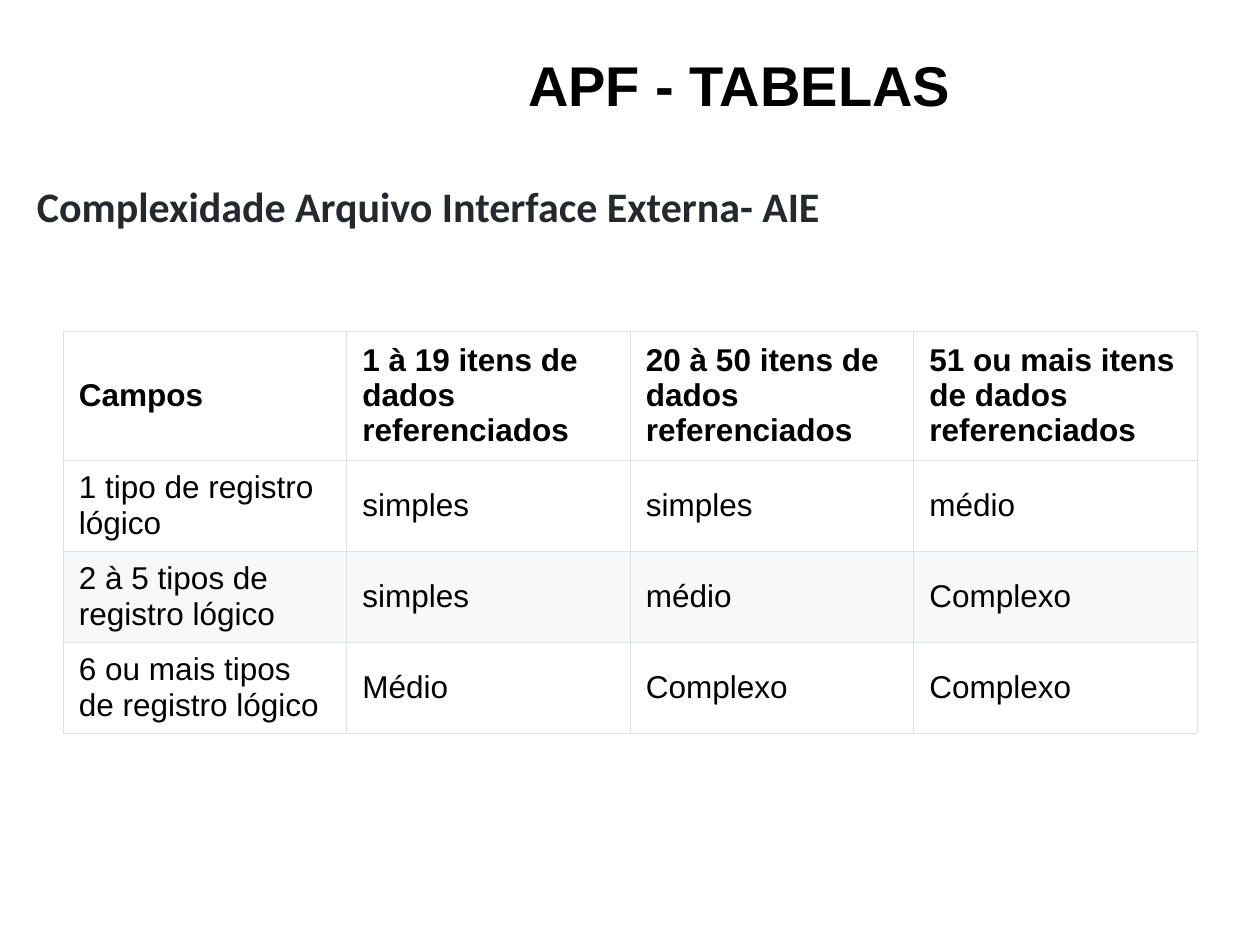
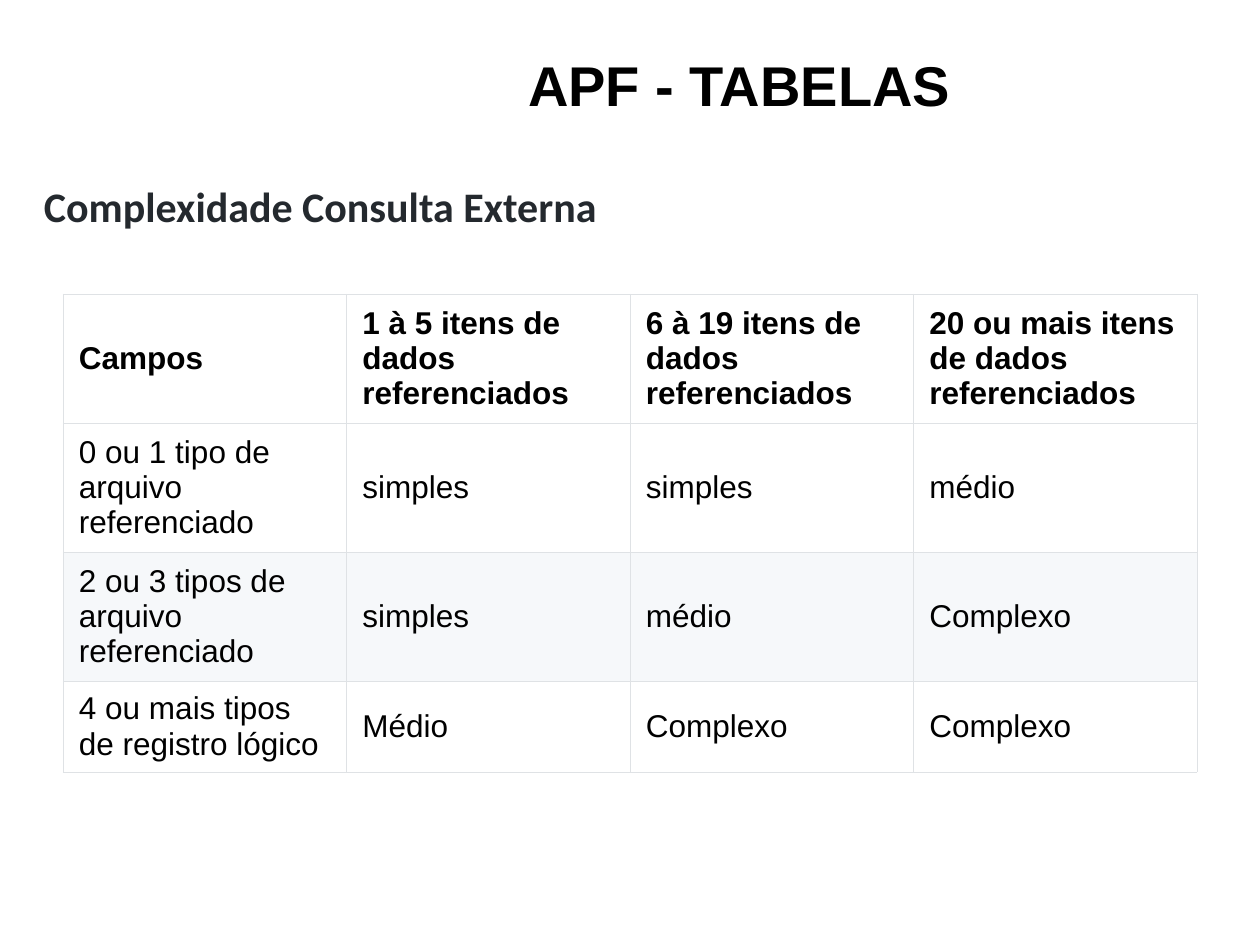
from lxml.etree import SubElement
from pptx import Presentation
from pptx.dml.color import RGBColor
from pptx.enum.text import MSO_ANCHOR, PP_ALIGN
from pptx.oxml.ns import qn
from pptx.util import Pt

TITLE = "APF - TABELAS"
PAGES = [
    {
        "heading": "Complexidade Arquivo Interface Externa- AIE",
        "heading_box": (24, 158, 956, 137),
        "table_top": 331,
        "row_lines": [3, 2, 2, 2],
        "rows": [
            ["Campos", "1 à 19 itens de dados referenciados",
             "20 à 50 itens de dados referenciados",
             "51 ou mais itens de dados referenciados"],
            ["1 tipo de registro lógico", "simples", "simples", "médio"],
            ["2 à 5 tipos de registro lógico", "simples", "médio", "Complexo"],
            ["6 ou mais tipos de registro lógico", "Médio", "Complexo", "Complexo"],
        ],
    },
    {
        "heading": "Complexidade Consulta Externa",
        "heading_box": (31, 158, 683, 137),
        "table_top": 294,
        "row_lines": [3, 3, 3, 2],
        "rows": [
            ["Campos", "1 à 5 itens de dados referenciados",
             "6 à 19 itens de dados referenciados",
             "20 ou mais itens de dados referenciados"],
            ["0 ou 1 tipo de arquivo referenciado", "simples", "simples", "médio"],
            ["2 ou 3 tipos de arquivo referenciado", "simples", "médio", "Complexo"],
            ["4 ou mais tipos de registro lógico", "Médio", "Complexo", "Complexo"],
        ],
    },
]

BLACK = RGBColor(0x00, 0x00, 0x00)
WHITE = RGBColor(0xFF, 0xFF, 0xFF)
HEADING = RGBColor(0x24, 0x29, 0x2E)
BAND = RGBColor(0xF6, 0xF8, 0xFA)
BORDER = RGBColor(0xDF, 0xE2, 0xE5)

PAGE_WIDTH, PAGE_HEIGHT = 1260, 945
TITLE_BOX = (282, 38, 915, 107)
TABLE_LEFT, TABLE_WIDTH = 63, 1134
ROW_HEIGHT = {2: 91, 3: 129}  # by lines of text
BANDED_ROW = 2


def px(length):
    return round(length * 914400 / 126)


def write(frame, text, size=18, font="Arial", color=BLACK, bold=False,
          align=PP_ALIGN.LEFT):
    para = frame.paragraphs[0]
    para.alignment = align
    span = para.add_run()
    span.text = text
    span.font.size = Pt(size)
    span.font.name = font
    span.font.color.rgb = color
    span.font.bold = bold


def set_margins(holder, side, top, bottom):
    holder.margin_left = holder.margin_right = px(side)
    holder.margin_top, holder.margin_bottom = px(top), px(bottom)


def add_text(page, area, text, top, bottom, **style):
    frame = page.shapes.add_textbox(*map(px, area)).text_frame
    frame.word_wrap = True
    frame.vertical_anchor = MSO_ANCHOR.TOP
    set_margins(frame, 13, top, bottom)
    write(frame, text, **style)


def add_borders(cell):
    properties = cell._tc.get_or_add_tcPr()
    for position, side in enumerate(("a:lnL", "a:lnR", "a:lnT", "a:lnB")):
        line = SubElement(properties, qn(side), w=str(Pt(0.34)))
        fill = SubElement(line, qn("a:solidFill"))
        SubElement(fill, qn("a:srgbClr"), val=str(BORDER))
        properties.insert(position, line)


def add_grid(page, top, rows, row_lines):
    heights = [ROW_HEIGHT[lines] for lines in row_lines]
    table = page.shapes.add_table(
        len(rows), len(rows[0]), px(TABLE_LEFT), px(top),
        px(TABLE_WIDTH), px(sum(heights))).table
    for row_index, (texts, height) in enumerate(zip(rows, heights)):
        table.rows[row_index].height = px(height)
        for column_index, text in enumerate(texts):
            cell = table.cell(row_index, column_index)
            cell.vertical_anchor = MSO_ANCHOR.MIDDLE
            set_margins(cell, 16, 6, 6)
            cell.fill.solid()
            cell.fill.fore_color.rgb = BAND if row_index == BANDED_ROW else WHITE
            add_borders(cell)
            write(cell.text_frame, text, bold=row_index == 0)


def main():
    deck = Presentation()
    deck.slide_width, deck.slide_height = px(PAGE_WIDTH), px(PAGE_HEIGHT)
    for content in PAGES:
        page = deck.slides.add_slide(deck.slide_layouts[6])
        add_text(page, TITLE_BOX, TITLE, 12, 6, size=32, bold=True,
                 align=PP_ALIGN.CENTER)
        add_text(page, content["heading_box"], content["heading"], 23, 15,
                 size=24, font="Calibri", color=HEADING, bold=True)
        add_grid(page, content["table_top"], content["rows"], content["row_lines"])
    deck.save("out.pptx")


if __name__ == "__main__":
    main()
